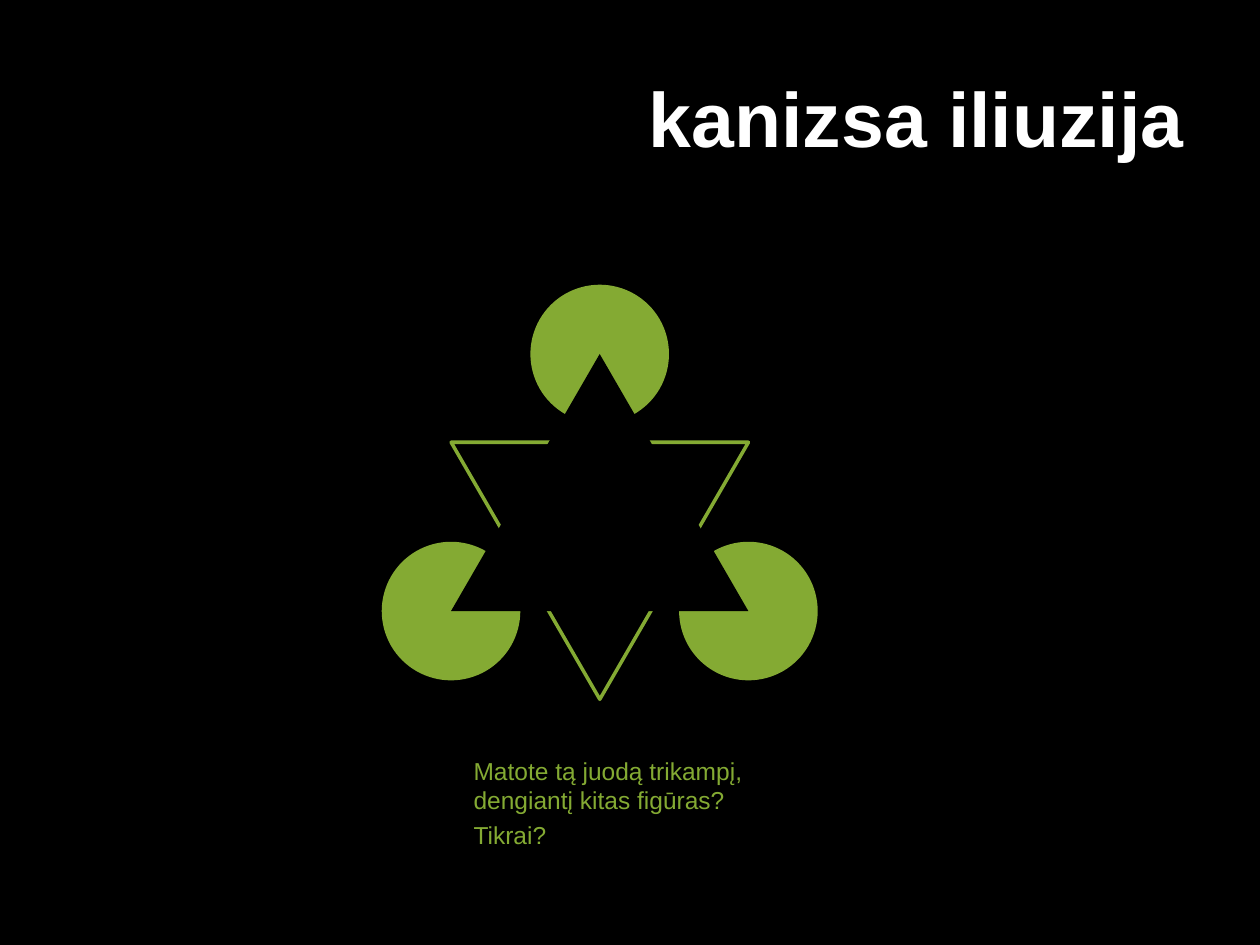
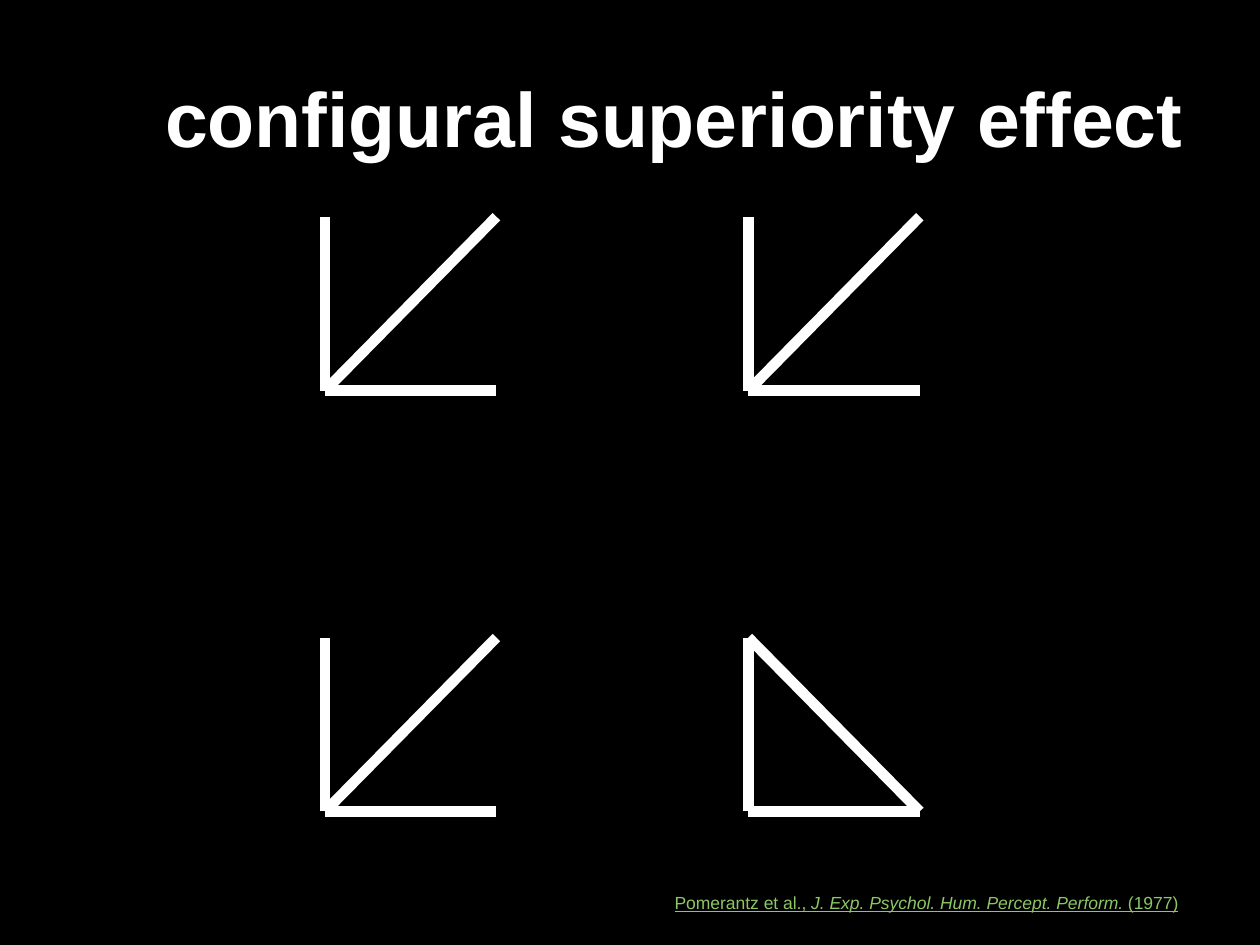
from dataclasses import dataclass

from lxml import etree
from pptx import Presentation
from pptx.dml.color import RGBColor
from pptx.enum.shapes import MSO_CONNECTOR, MSO_SHAPE
from pptx.enum.text import MSO_ANCHOR, PP_ALIGN
from pptx.oxml.ns import qn
from pptx.util import Inches, Pt

TRIANGLE, DISK = MSO_SHAPE.ISOSCELES_TRIANGLE, MSO_SHAPE.OVAL
STRAIGHT = MSO_CONNECTOR.STRAIGHT
LEFT, RIGHT = PP_ALIGN.LEFT, PP_ALIGN.RIGHT
TOP, MIDDLE = MSO_ANCHOR.TOP, MSO_ANCHOR.MIDDLE

COLORS = {"night": "000000", "chalk": "FFFFFF", "leaf": "84AA33", "citation": "8DC765"}
FONT = "Arial"
WIDTH, HEIGHT = Inches(10), Inches(7.5)
COLUMN, ROW = WIDTH / 100, HEIGHT / 75


@dataclass(frozen=True)
class Area:
    """A rectangle measured in grid columns and rows."""

    left: float
    top: float
    width: float
    height: float

    def box(self) -> tuple[int, int, int, int]:
        """Return the rectangle in slide units."""
        return (round(self.left * COLUMN), round(self.top * ROW),
                round(self.width * COLUMN), round(self.height * ROW))


@dataclass(frozen=True)
class Figure:
    """A preset shape with its colours and turn."""

    preset: int
    area: Area
    fill: str
    outline: str | None = None
    turn: int = 0


@dataclass(frozen=True)
class Stimulus:
    """An angle of two arms with a diagonal, placed by its top left corner."""

    left: float
    top: float
    closed: bool = False


TITLE_AREA = Area(5, 3, 90, 12.5)
QUESTION_AREA = Area(36.6, 59.5, 25.2, 9.4)
CITATION_AREA = Area(52.3, 70.3, 42.2, 3.1)

ILLUSORY = Area(35.8, 28.1, 23.6, 20.4)
INDUCER = Area(35.8, 35.1, 23.6, 20.4)
DISK_SIZE = 11
DISK_CENTRES = [
    (ILLUSORY.left, ILLUSORY.top + ILLUSORY.height),
    (ILLUSORY.left + ILLUSORY.width, ILLUSORY.top + ILLUSORY.height),
    (ILLUSORY.left + ILLUSORY.width / 2, ILLUSORY.top),
]
KANIZSA = [
    Figure(TRIANGLE, INDUCER, "night", "leaf", 180),
    *(Figure(DISK, Area(x - DISK_SIZE / 2, y - DISK_SIZE / 2, DISK_SIZE, DISK_SIZE), "leaf")
      for x, y in DISK_CENTRES),
    Figure(TRIANGLE, ILLUSORY, "night"),
]

ARM_WIDTH, ARM_HEIGHT = 13.6, 13.8
GRID_LEFT, GRID_TOP, STEP_ACROSS, STEP_DOWN = 25.8, 17.2, 33.6, 33.4
STIMULI = [
    Stimulus(GRID_LEFT + across * STEP_ACROSS, GRID_TOP + down * STEP_DOWN,
             closed=(across == 1 and down == 1))
    for down in range(2) for across in range(2)
]


def color(name: str) -> RGBColor:
    """Look up a palette colour."""
    return RGBColor.from_string(COLORS[name])


def write(frame, paragraphs, *, size: float, ink: str, align=LEFT, anchor=TOP,
          bold: bool = False, underline: bool = False, before: float = 0,
          hanging: float = 0) -> None:
    """Fill a text frame with paragraphs of (text, italic) runs."""
    frame.word_wrap = True
    frame.vertical_anchor = anchor
    for index, runs in enumerate(paragraphs):
        paragraph = frame.paragraphs[0] if index == 0 else frame.add_paragraph()
        paragraph.alignment = align
        paragraph.space_before = Pt(before)
        if hanging:
            properties = paragraph._p.get_or_add_pPr()
            properties.set("marL", str(round(hanging * COLUMN)))
            properties.set("indent", str(-round(hanging * COLUMN)))
        for text, italic in runs:
            run = paragraph.add_run()
            run.text = text
            font = run.font
            font.name, font.size = FONT, Pt(size)
            font.bold, font.italic, font.underline = bold, italic, underline
            font.color.rgb = color(ink)


def add_titled_slide(deck, title: str):
    """Add a title-only slide with the shared heading."""
    slide = deck.slides.add_slide(deck.slide_layouts[5])
    heading = slide.shapes.title
    heading.left, heading.top, heading.width, heading.height = TITLE_AREA.box()
    write(heading.text_frame, [[(title, False)]], size=44, ink="chalk",
          align=RIGHT, anchor=MIDDLE, bold=True)
    return slide


def draw_figure(group, figure: Figure) -> None:
    """Draw one preset shape in a group."""
    shape = group.shapes.add_shape(figure.preset, *figure.area.box())
    shape.shadow.inherit = False
    shape.rotation = figure.turn
    shape.fill.solid()
    shape.fill.fore_color.rgb = color(figure.fill)
    if figure.outline:
        shape.line.color.rgb = color(figure.outline)
        shape.line.width = Pt(2)
    else:
        shape.line.fill.background()


def draw_stroke(group, start: tuple[float, float], end: tuple[float, float]) -> None:
    """Draw one thick white line between two grid points."""
    ends = [round(value * unit) for point in (start, end)
            for value, unit in zip(point, (COLUMN, ROW))]
    stroke = group.shapes.add_connector(STRAIGHT, *ends)
    stroke.line.color.rgb = color("chalk")
    stroke.line.width = Pt(6)
    etree.SubElement(stroke._element.spPr, qn("a:effectLst"))


def draw_stimulus(slide, stimulus: Stimulus) -> None:
    """Draw the two arms and the diagonal of a stimulus."""
    right, bottom = stimulus.left + ARM_WIDTH, stimulus.top + ARM_HEIGHT
    corner, foot = (stimulus.left, bottom), (right, bottom)
    tip, far = (stimulus.left, stimulus.top), (right, stimulus.top)
    diagonal = (foot, tip) if stimulus.closed else (corner, far)
    group = slide.shapes.add_group_shape()
    for start, end in (diagonal, (corner, foot), (corner, tip)):
        draw_stroke(group, start, end)


def build_kanizsa(deck) -> None:
    """Build the slide with the illusory triangle."""
    slide = add_titled_slide(deck, "kanizsa iliuzija")
    question = slide.shapes.add_textbox(*QUESTION_AREA.box())
    write(question.text_frame,
          [[("Matote tą juodą trikampį, dengiantį kitas figūras?", False)],
           [("Tikrai?", False)]],
          size=14, ink="leaf", before=2.8)
    group = slide.shapes.add_group_shape()
    for figure in KANIZSA:
        draw_figure(group, figure)


def build_superiority(deck) -> None:
    """Build the slide with the four line stimuli."""
    slide = add_titled_slide(deck, "configural superiority effect")
    citation = slide.shapes.add_textbox(*CITATION_AREA.box())
    write(citation.text_frame,
          [[("Pomerantz et al., ", False),
            ("J. Exp. Psychol. Hum. Percept. Perform. ", True),
            ("(1977)", False)]],
          size=10, ink="citation", align=RIGHT, underline=True, before=2, hanging=3.8)
    for stimulus in STIMULI:
        draw_stimulus(slide, stimulus)


def main() -> None:
    """Build and save the presentation."""
    deck = Presentation()
    deck.slide_width, deck.slide_height = WIDTH, HEIGHT
    backdrop = deck.slide_master.background.fill
    backdrop.solid()
    backdrop.fore_color.rgb = color("night")
    build_kanizsa(deck)
    build_superiority(deck)
    deck.save("out.pptx")


if __name__ == "__main__":
    main()
